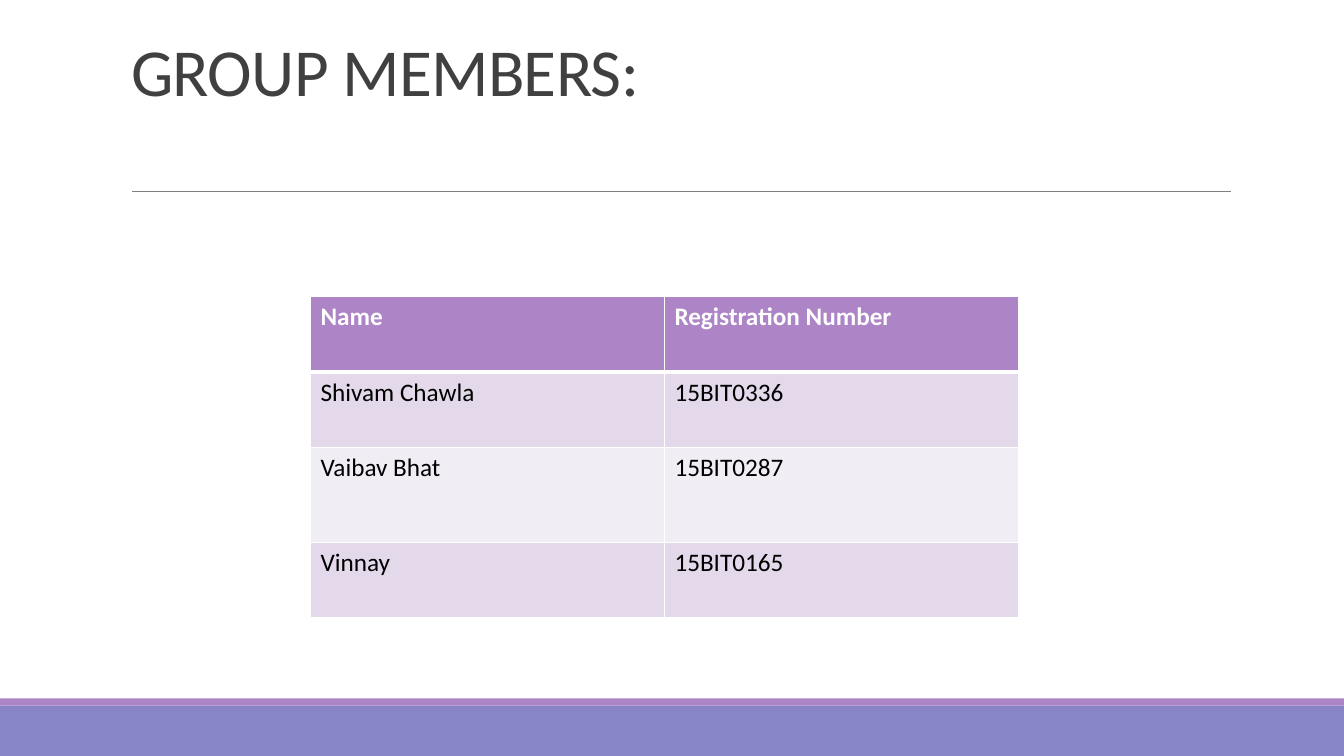
from lxml.etree import SubElement as Sub
from pptx import Presentation
from pptx.dml.color import RGBColor as RGB
from pptx.enum.shapes import MSO_CONNECTOR as Link, MSO_SHAPE as Shape
from pptx.enum.text import MSO_ANCHOR as Anchor, PP_ALIGN as Align
from pptx.oxml.ns import qn
from pptx.util import Inches, Pt

HUES = {
    "white": "FFFFFF", "black": "000000", "title": "404040", "rule": "808080",
    "base": "8784C7", "head": "AD84C6", "odd": "E3D9EA", "even": "F1EDF5",
}
ROWS = [
    ("Name", "Registration Number"),
    ("Shivam Chawla", "15BIT0336"),
    ("Vaibav Bhat", "15BIT0287"),
    ("Vinnay", "15BIT0165"),
]
TALL = [0.75, 0.75, 0.94, 0.75]
WIDE = 3.51


def hue(name):
    return RGB.from_string(HUES[name])


def write(frame, text, size=18, color="black", bold=False, track=0, lead=None):
    para = frame.paragraphs[0]
    para.alignment = Align.LEFT
    if lead:
        para.line_spacing = lead
    run = para.add_run()
    run.text = text
    font = run.font
    font.name, font.size, font.bold = "Calibri", Pt(size), bold
    font.color.rgb = hue(color)
    if track:
        run._r.get_or_add_rPr().set("spc", str(int(track * 100)))


def band(slide, top, high, color):
    bar = slide.shapes.add_shape(
        Shape.RECTANGLE, 0, Inches(top), Inches(13.33), Inches(high))
    bar.shadow.inherit = False
    bar.fill.solid()
    bar.fill.fore_color.rgb = hue(color)
    bar.line.fill.background()


def rule(slide, left, right, top):
    line = slide.shapes.add_connector(
        Link.STRAIGHT, Inches(left), Inches(top), Inches(right), Inches(top))
    line.line.color.rgb = hue("rule")
    line.line.width = Pt(0.5)
    Sub(line._element.spPr, qn("a:effectLst"))


def head(slide, text):
    title = slide.shapes.title
    title.left, title.top = Inches(1.2), Inches(0.31)
    title.width, title.height = Inches(11), Inches(1.59)
    frame = title.text_frame
    frame.word_wrap = True
    frame.vertical_anchor = Anchor.TOP
    frame.margin_top = Inches(0.1)
    write(frame, text, size=48, color="title", track=-0.5, lead=0.85)


def edge(cell, **sides):
    props = cell._tc.get_or_add_tcPr()
    for side, width in sides.items():
        line = Sub(props, qn("a:ln" + side), w=str(Pt(width)))
        fill = Sub(line, qn("a:solidFill"))
        Sub(fill, qn("a:srgbClr"), val=HUES["white"])


def grid(slide, left, top):
    cols = len(ROWS[0])
    table = slide.shapes.add_table(
        len(ROWS), cols, Inches(left), Inches(top),
        Inches(WIDE * cols), Inches(sum(TALL))).table
    for col in table.columns:
        col.width = Inches(WIDE)
    for r, (row, high) in enumerate(zip(ROWS, TALL)):
        table.rows[r].height = Inches(high)
        first = r == 0
        tint = "head" if first else "odd" if r % 2 else "even"
        for c, text in enumerate(row):
            cell = table.cell(r, c)
            edge(cell, L=1, R=1, T=3 if r == 1 else 1, B=3 if first else 1)
            cell.fill.solid()
            cell.fill.fore_color.rgb = hue(tint)
            write(cell.text_frame, text, bold=first,
                  color="white" if first else "black")


def main():
    deck = Presentation()
    deck.slide_width, deck.slide_height = Inches(13.33), Inches(7.5)
    slide = deck.slides.add_slide(deck.slide_layouts[5])

    # Footer bands and title rule
    band(slide, 7, 0.5, "base")
    band(slide, 6.93, 0.07, "head")
    rule(slide, 1.31, 12.21, 1.9)

    # Title and member table
    head(slide, "GROUP MEMBERS:")
    grid(slide, 3.08, 2.94)

    deck.save("out.pptx")


main()
